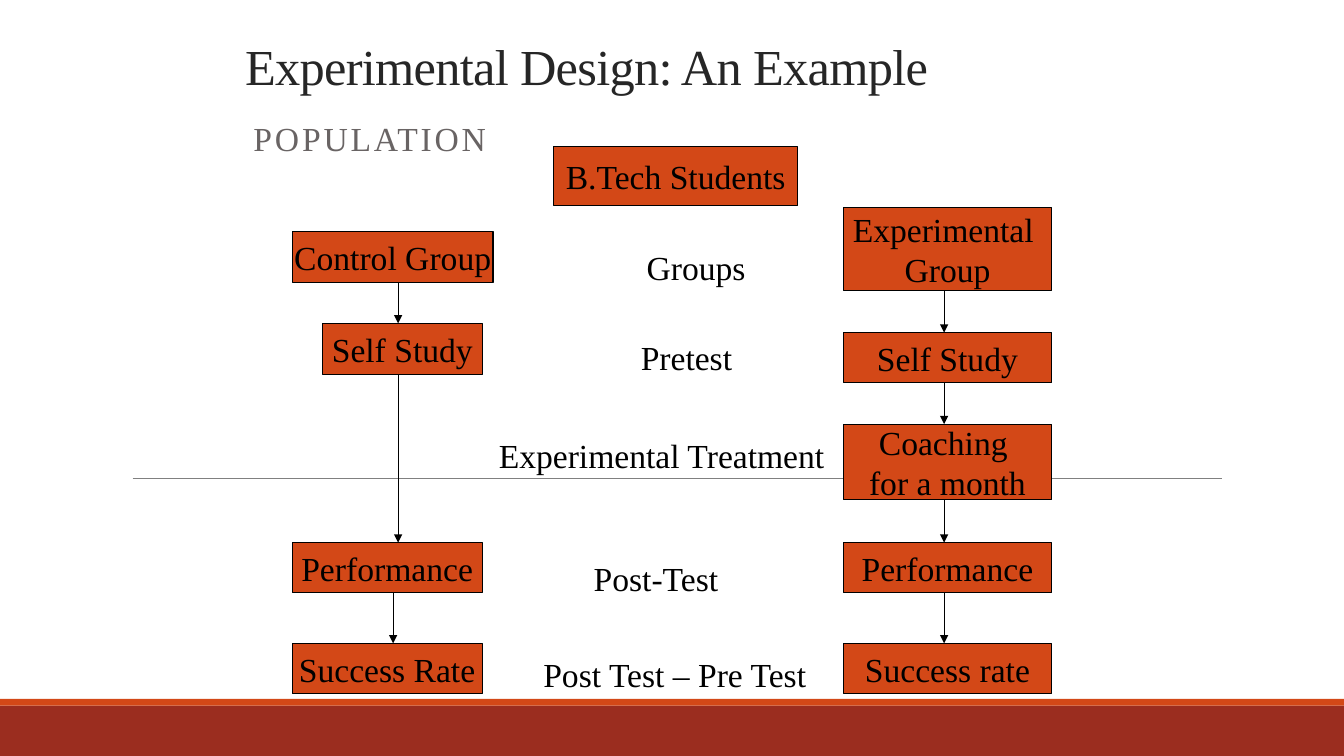
from lxml.etree import SubElement
from pptx import Presentation
from pptx.dml.color import RGBColor
from pptx.enum.shapes import MSO_CONNECTOR, MSO_SHAPE
from pptx.enum.text import MSO_ANCHOR, PP_ALIGN
from pptx.oxml.ns import qn
from pptx.util import Inches, Pt

COLORS = {
    "band": "9B2D1F",
    "box": "D34817",
    "rule": "808080",
    "title": "262626",
    "subtitle": "696464",
    "ink": "000000",
}
FONT = "Times New Roman"
WIDTH, HEIGHT = Inches(13.33), Inches(7.5)
COLUMNS, ROWS = 160, 90

CONTROL_STEPS = [
    ("Control Group", 34.8, 27.6, 23.9, 6),
    ("Self Study", 38.4, 38.5, 19, 6.1),
    ("Performance", 34.8, 64.6, 22.6, 6),
    ("Success Rate", 34.8, 76.6, 22.6, 6),
]
EXPERIMENTAL_STEPS = [
    ("Experimental \nGroup", 100.4, 24.7, 24.8, 9.9),
    ("Self Study", 100.4, 39.6, 24.8, 6),
    ("Coaching \nfor a month", 100.4, 50.5, 24.8, 9),
    ("Performance", 100.4, 64.6, 24.8, 6),
    ("Success rate", 100.4, 76.6, 24.8, 6),
]
STAGE_LABELS = [
    ("Groups", 75.8, 28.8, 14.3),
    ("Pretest", 75.1, 39.5, 15.4),
    ("Experimental Treatment", 58.2, 51.2, 41.5),
    ("Post-Test", 69.5, 65.8, 22),
    ("Post Test – Pre Test", 63.5, 77.3, 34),
]


def across(columns):
    """Return the length of a number of grid columns."""
    return round(WIDTH * columns / COLUMNS)


def down(rows):
    """Return the length of a number of grid rows."""
    return round(HEIGHT * rows / ROWS)


def place(left, top, width, height):
    """Turn a grid area into slide lengths."""
    return across(left), down(top), across(width), down(height)


def format_text(text_frame, size=24, color="ink", spacing=0):
    """Give every run the slide font, a size, a colour and letter spacing."""
    for paragraph in text_frame.paragraphs:
        for run in paragraph.runs:
            run.font.name = FONT
            run.font.size = Pt(size)
            run.font.color.rgb = RGBColor.from_string(COLORS[color])
            if spacing:
                run._r.get_or_add_rPr().set("spc", str(round(spacing * 100)))


def add_bar(slide, area, color):
    """Add a filled rectangle without outline or shadow."""
    shape = slide.shapes.add_shape(MSO_SHAPE.RECTANGLE, *place(*area))
    shape.shadow.inherit = False
    shape.fill.solid()
    shape.fill.fore_color.rgb = RGBColor.from_string(COLORS[color])
    shape.line.fill.background()
    return shape


def add_box(slide, text, *area):
    """Add an outlined box with centred text."""
    shape = add_bar(slide, area, "box")
    shape.line.color.rgb = RGBColor.from_string(COLORS["ink"])
    shape.line.width = Pt(0.75)
    text_frame = shape.text_frame
    text_frame.text = text
    text_frame.word_wrap = False
    text_frame.vertical_anchor = MSO_ANCHOR.MIDDLE
    for paragraph in text_frame.paragraphs:
        paragraph.alignment = PP_ALIGN.CENTER
    format_text(text_frame)


def add_label(slide, text, area, line_spacing=1.0, wrap=False, **style):
    """Add a text box with one paragraph and return its frame."""
    text_frame = slide.shapes.add_textbox(*place(*area)).text_frame
    text_frame.text = text
    text_frame.word_wrap = wrap
    text_frame.paragraphs[0].line_spacing = line_spacing
    format_text(text_frame, **style)
    return text_frame


def add_line(slide, start, end, color="ink", width=0.75, arrow=True):
    """Add a straight line between two grid points."""
    connector = slide.shapes.add_connector(
        MSO_CONNECTOR.STRAIGHT,
        across(start[0]), down(start[1]), across(end[0]), down(end[1]),
    )
    connector.line.color.rgb = RGBColor.from_string(COLORS[color])
    connector.line.width = Pt(width)
    if arrow:
        SubElement(connector.line._get_or_add_ln(), qn("a:tailEnd"), type="triangle")
    SubElement(connector._element.spPr, qn("a:effectLst"))


def add_flow(slide, steps, arrow_columns):
    """Add a column of boxes joined from top to bottom by arrows."""
    for step in steps:
        add_box(slide, *step)
    for upper, lower, column in zip(steps, steps[1:], arrow_columns):
        bottom = upper[2] + upper[4]
        add_line(slide, (column, bottom), (column, lower[2]))


def main():
    """Build the experimental design slide."""
    presentation = Presentation()
    presentation.slide_width, presentation.slide_height = WIDTH, HEIGHT
    slide = presentation.slides.add_slide(presentation.slide_layouts[6])

    add_bar(slide, (0, 84, COLUMNS, 6), "band")
    add_bar(slide, (0, 83.2, COLUMNS, 0.8), "box")
    add_line(slide, (15.8, 57), (145.5, 57), "rule", 0.5, arrow=False)

    title = add_label(slide, "Experimental Design: An Example", (28, 3, 102, 9),
                      0.85, True, size=36, color="title", spacing=-0.5)
    title.vertical_anchor = MSO_ANCHOR.BOTTOM
    add_label(slide, "POPULATION", (29, 14, 108, 23),
              0.9, True, size=24, color="subtitle", spacing=2)

    add_box(slide, "B.Tech Students", 65.9, 17.5, 29.1, 7)
    add_flow(slide, CONTROL_STEPS, [47.4, 47.4, 46.8])
    add_flow(slide, EXPERIMENTAL_STEPS, [112.4] * 4)
    for text, left, top, width in STAGE_LABELS:
        add_label(slide, text, (left, top, width, 6))

    presentation.save("out.pptx")


if __name__ == "__main__":
    main()
